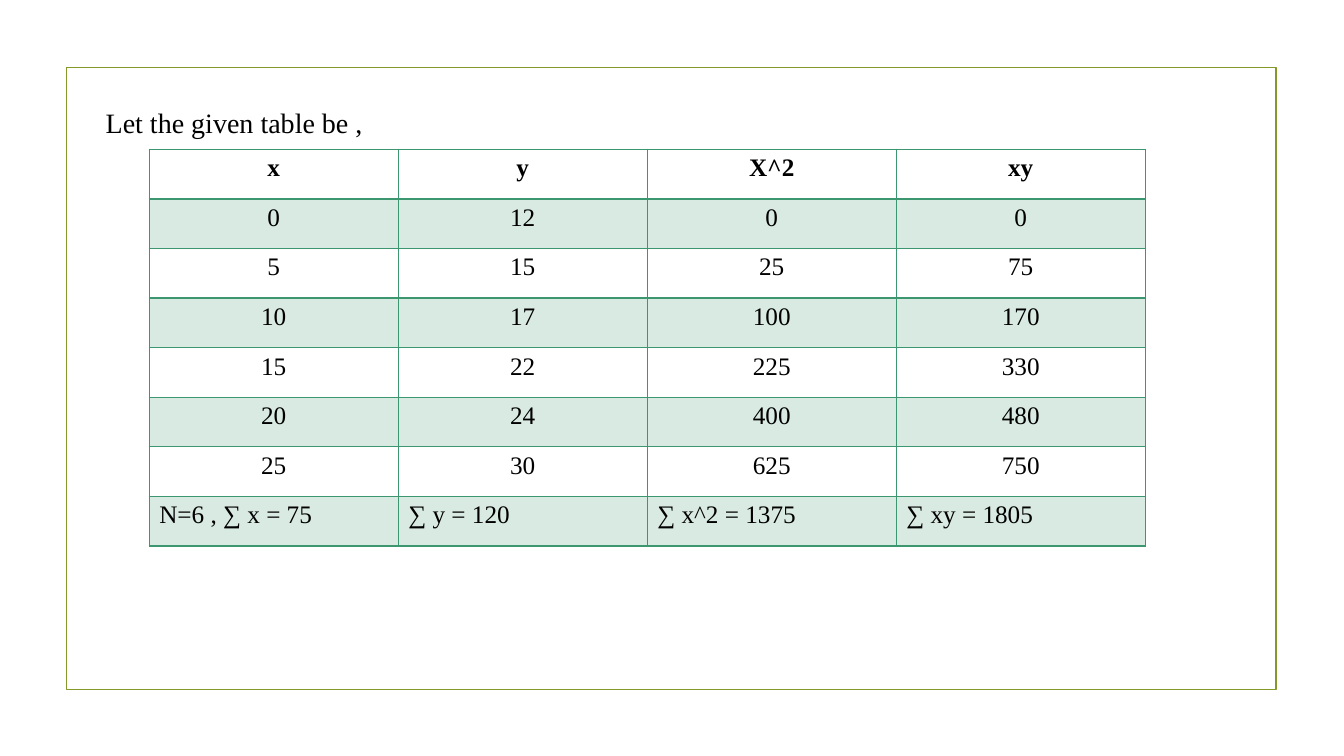
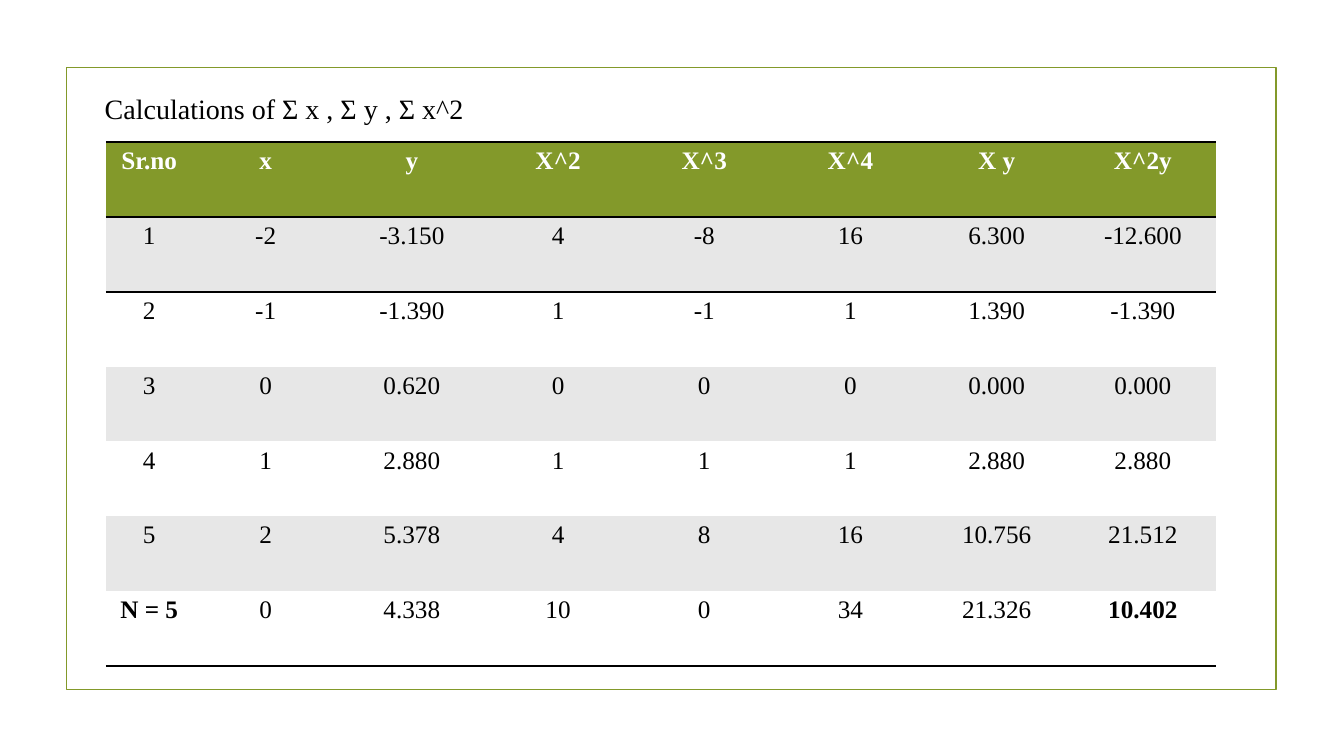
from dataclasses import dataclass

from lxml import etree
from pptx import Presentation
from pptx.dml.color import RGBColor
from pptx.enum.shapes import MSO_SHAPE
from pptx.enum.text import PP_ALIGN
from pptx.oxml.ns import qn
from pptx.util import Inches, Pt

RECTANGLE = MSO_SHAPE.RECTANGLE
LEFT, CENTER = PP_ALIGN.LEFT, PP_ALIGN.CENTER
PLAIN_TABLE_STYLE = "{2D5ABB26-0587-4C30-8999-92F81FD0307C}"
BLANK_LAYOUT = 6


class Theme:
    font = "Times New Roman"
    caption_size = 20
    cell_size = 18
    black = "000000"
    white = "FFFFFF"
    olive = "83992A"
    green = "3C9770"
    pale_green = "D8EAE2"
    grey = "E7E7E7"


@dataclass
class TableLook:
    header_fill: str
    header_text: str
    band_fill: str
    border: str
    row_rules: list  # weight of each horizontal line, top to bottom; 0 is none
    column_rule: int  # weight of the vertical lines


GRID_LOOK = TableLook(Theme.white, Theme.black, Theme.pale_green, Theme.green,
                      [1, 2] + [1] * 7, 1)
BANDED_LOOK = TableLook(Theme.olive, Theme.white, Theme.grey, Theme.black,
                        [2, 2] + [0] * 5 + [2], 0)

SUMS_ROWS = [
    ["x", "y", "X^2", "xy"],
    ["0", "12", "0", "0"],
    ["5", "15", "25", "75"],
    ["10", "17", "100", "170"],
    ["15", "22", "225", "330"],
    ["20", "24", "400", "480"],
    ["25", "30", "625", "750"],
    ["N=6 , ∑ x = 75", "∑ y = 120", "∑ x^2 = 1375", "∑ xy = 1805"],
]
POWERS_ROWS = [
    ["Sr.no", "x", "y", "X^2", "X^3", "X^4", "X y", "X^2y"],
    ["1", "-2", "-3.150", "4", "-8", "16", "6.300", "-12.600"],
    ["2", "-1", "-1.390", "1", "-1", "1", "1.390", "-1.390"],
    ["3", "0", "0.620", "0", "0", "0", "0.000", "0.000"],
    ["4", "1", "2.880", "1", "1", "1", "2.880", "2.880"],
    ["5", "2", "5.378", "4", "8", "16", "10.756", "21.512"],
    ["N = 5", "0", "4.338", "10", "0", "34", "21.326", "10.402"],
]


def style_para(para, size, color=Theme.black, bold=False, align=LEFT):
    para.alignment = align
    para.font.name = Theme.font
    para.font.size = Pt(size)
    para.font.bold = bold
    para.font.color.rgb = RGBColor.from_string(color)


def add_framed_page(deck):
    """Add a page with the olive frame that all pages share."""
    page = deck.slides.add_slide(deck.slide_layouts[BLANK_LAYOUT])
    frame = page.shapes.add_shape(RECTANGLE, Inches(0.66), Inches(0.67),
                                  Inches(12), Inches(6.17))
    frame.shadow.inherit = False
    frame.fill.background()
    frame.line.color.rgb = RGBColor.from_string(Theme.olive)
    frame.line.width = Pt(1.25)
    return page


def add_caption(page, text, left, top):
    box = page.shapes.add_textbox(Inches(left), Inches(top),
                                  Inches(11.4), Inches(0.45))
    box.text_frame.word_wrap = True
    para = box.text_frame.paragraphs[0]
    para.text = text
    style_para(para, Theme.caption_size)


def set_borders(cell, color, weights):
    """Draw cell borders; weights maps L, R, T and B to points."""
    properties = cell._tc.get_or_add_tcPr()
    for side, weight in weights.items():
        if weight:
            line = etree.SubElement(properties, qn(f"a:ln{side}"), w=str(Pt(weight)))
            fill = etree.SubElement(line, qn("a:solidFill"))
            etree.SubElement(fill, qn("a:srgbClr"), val=color)


def add_data_table(page, rows, look, position, column_widths, height,
                   bold_cells=(), left_rows=()):
    left, top = position
    frame = page.shapes.add_table(len(rows), len(column_widths), Inches(left),
                                  Inches(top), Inches(sum(column_widths)),
                                  Inches(height))
    table = frame.table
    table._tbl.tblPr.find(qn("a:tableStyleId")).text = PLAIN_TABLE_STYLE
    for column, width in zip(table.columns, column_widths):
        column.width = Inches(width)

    for r, texts in enumerate(rows):
        table.rows[r].height = Inches(height / len(rows))
        header = r == 0
        body_fill = look.band_fill if r % 2 else Theme.white
        for c, text in enumerate(texts):
            cell = table.cell(r, c)
            set_borders(cell, look.border, {
                "L": look.column_rule, "R": look.column_rule,
                "T": look.row_rules[r], "B": look.row_rules[r + 1]})
            cell.fill.solid()
            cell.fill.fore_color.rgb = RGBColor.from_string(
                look.header_fill if header else body_fill)
            cell.text = text
            style_para(cell.text_frame.paragraphs[0], Theme.cell_size,
                       color=look.header_text if header else Theme.black,
                       bold=header or (r, c) in bold_cells,
                       align=LEFT if r in left_rows else CENTER)


def main():
    deck = Presentation()
    deck.slide_width, deck.slide_height = Inches(13.33), Inches(7.5)

    # Given values and their sums
    page = add_framed_page(deck)
    add_caption(page, "Let the given table be ,", 0.95, 1)
    add_data_table(page, SUMS_ROWS, GRID_LOOK, (1.48, 1.48), [2.47] * 4, 3.94,
                   left_rows=[7])

    # Powers and products of x and y
    page = add_framed_page(deck)
    add_caption(page, "Calculations of Σ x , Σ y , Σ x^2", 0.94, 0.86)
    add_data_table(page, POWERS_ROWS, BANDED_LOOK, (1.05, 1.41),
                   [0.86] + [1.45] * 7, 5.2, bold_cells=[(6, 0), (6, 7)])

    deck.save("out.pptx")


if __name__ == "__main__":
    main()
